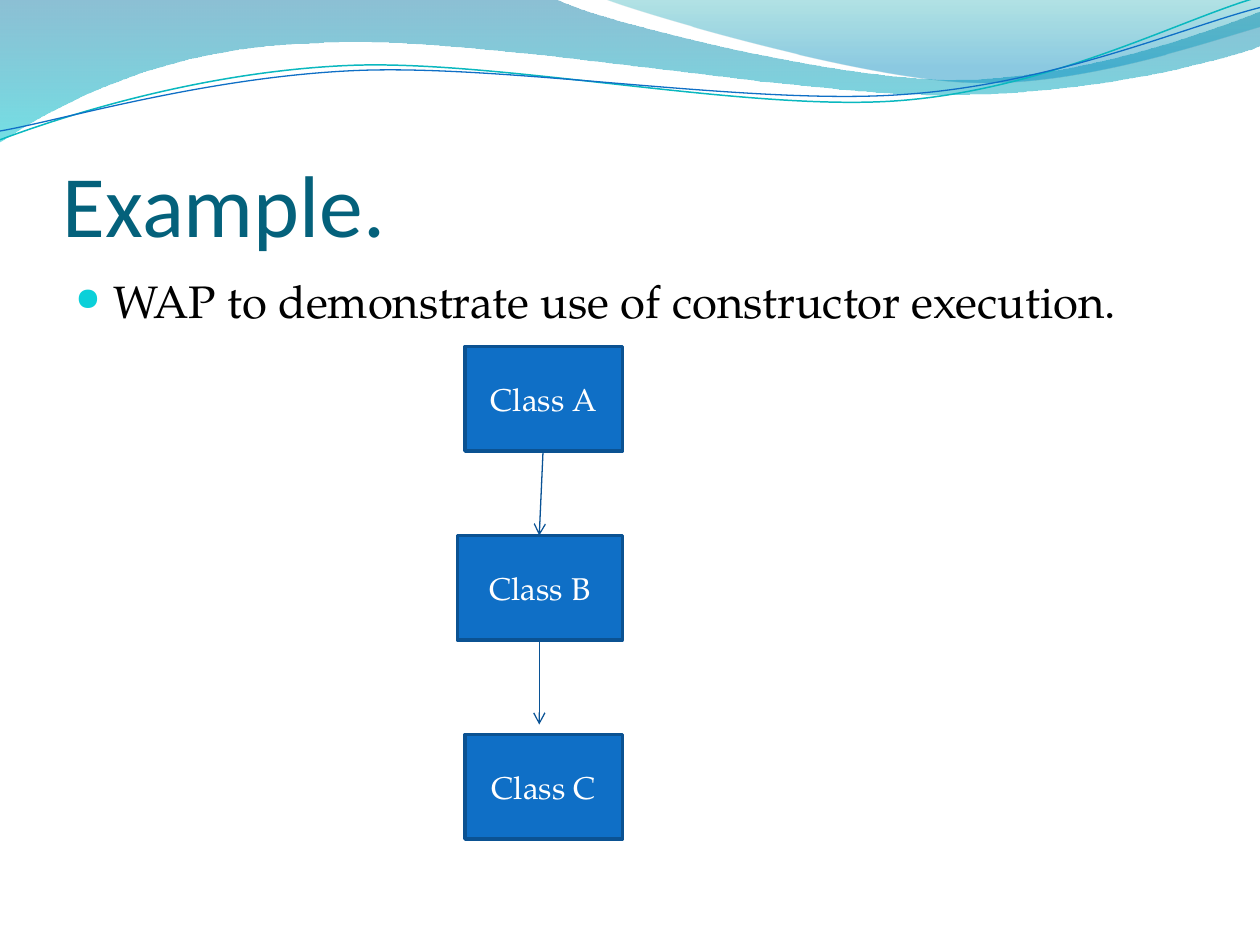
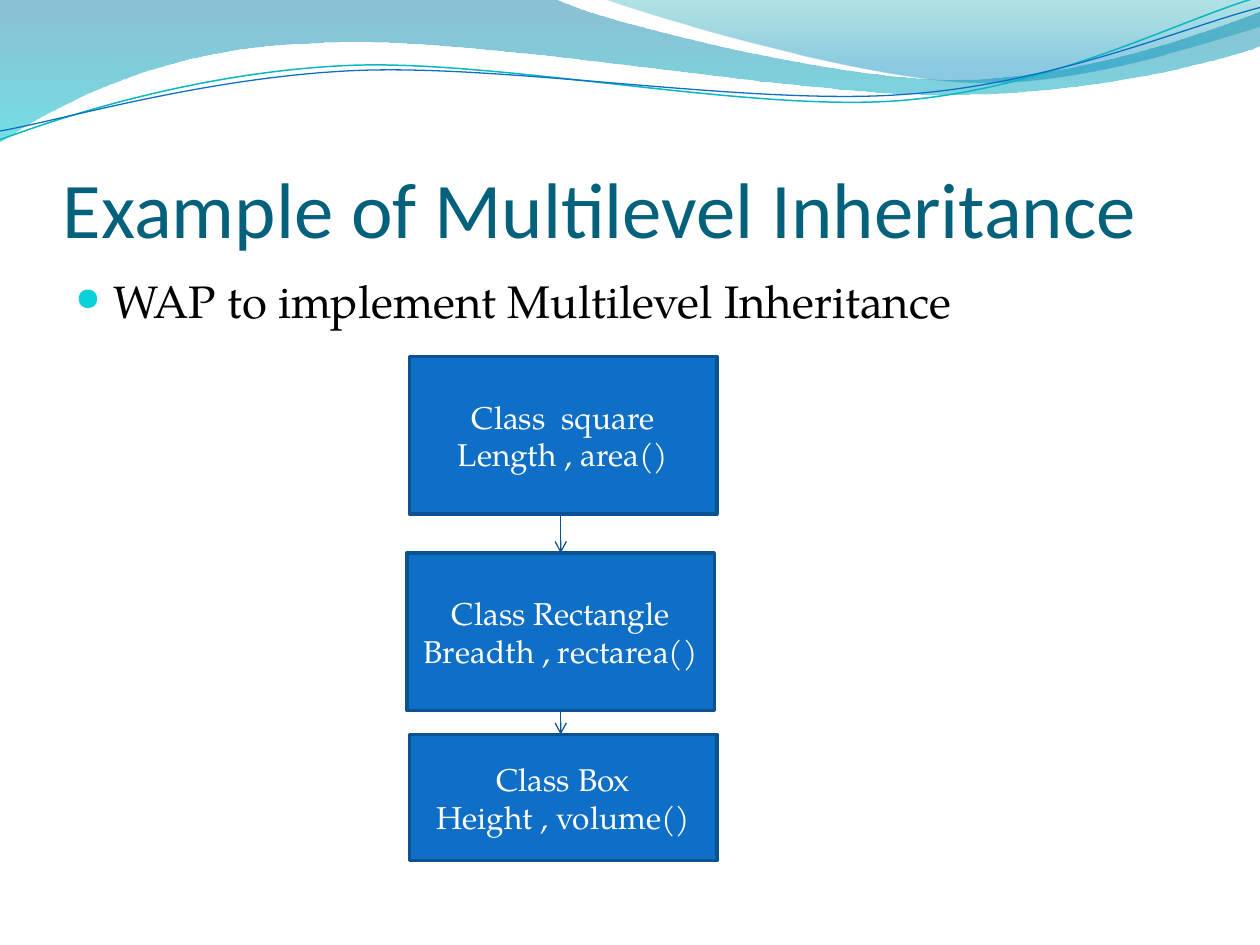
from lxml.etree import SubElement
from pptx import Presentation
from pptx.dml.color import RGBColor
from pptx.enum.shapes import MSO_CONNECTOR as CONN, MSO_SHAPE as SHAPE
from pptx.enum.text import MSO_ANCHOR as ANCHOR, PP_ALIGN as ALIGN
from pptx.oxml import parse_xml
from pptx.oxml.ns import nsdecls, qn
from pptx.util import Inches, Pt

# ---- Content: box = (left, top, width, height, lines); arrow = (x1, y1, x2, y2)
SLIDES = [
    dict(title="Example.", size=50,
         bullet="WAP to demonstrate use of constructor execution.",
         boxes=[(3.69, 2.75, 1.25, 0.83, ["Class A"]),
                (3.63, 4.25, 1.31, 0.83, ["Class B"]),
                (3.69, 5.83, 1.25, 0.83, ["Class C"])],
         arrows=[(4.31, 3.58, 4.28, 4.25), (4.28, 5.08, 4.28, 5.75)]),
    dict(title="Example of Multilevel Inheritance", size=45,
         bullet="WAP to implement Multilevel Inheritance",
         boxes=[(3.25, 2.83, 2.44, 1.25, ["Class  square", "Length , area()"]),
                (3.23, 4.39, 2.44, 1.25, ["Class Rectangle", "Breadth , rectarea()"]),
                (3.25, 5.83, 2.44, 1, ["Class Box", "Height , volume()"])],
         arrows=[(4.45, 4.08, 4.45, 4.39), (4.45, 5.64, 4.45, 5.83)]),
]

# ---- Shared style
HEAD, BODY = "Calibri", "TeX Gyre Pagella"
C = dict(title="04617B", text="000000", bullet="0BD0D9", box="0F6FC6",
         edge="0B5292", arrow="095295", label="FFFFFF",
         teal="0AB8BF", blue="0F6FC6")

# Header waves: start point, then 2 numbers for a line or 6 for a Bezier curve
BANDS = [
    ([(0, 0), (4.4, -0.01), (4.76, 0.17, 6.64, 0.63, 7.58, 0.63),
      (8.53, 0.63, 9.58, 0.26, 10, 0.09), (10.01, 0.36),
      (9.83, 0.44, 8.7, 0.76, 7.46, 0.75), (6.22, 0.75, 3.82, 0.28, 2.57, 0.34),
      (1.29, 0.36, 0.46, 0.83, -0.01, 1.13), (0, 0)],
     [(0, "0074A1", 45), (100, "00C6CF", 55)]),
    ([(4.79, -0.01), (5.09, 0.11, 6.82, 0.62, 7.69, 0.65),
      (8.56, 0.69, 9.61, 0.32, 10, 0.21), (10, 0), (4.79, -0.01)],
     [(0, "00A1A9", 30), (80, "008BBF", 45)]),
]
STRANDS = [
    ([(0, 1.11), (0.48, 0.93, 1.58, 0.57, 2.77, 0.52),
      (3.95, 0.47, 5.93, 0.89, 7.13, 0.8),
      (8.33, 0.71, 9.38, 0.15, 9.98, -0.02)], "teal", 0.85),
    ([(0, 1.04), (0.47, 0.96, 1.64, 0.61, 2.83, 0.56),
      (4.03, 0.51, 5.97, 0.84, 7.17, 0.75),
      (8.36, 0.67, 9.41, 0.21, 10, 0.06)], "blue", 0.75),
]


def rgb(name):
    return RGBColor.from_string(C[name])


def add_wave(slide, segments, close):
    """Draw the end points as a freeform, then bend its lines into curves."""
    ends = [(Inches(s[-2]), Inches(s[-1])) for s in segments]
    fb = slide.shapes.build_freeform(*ends[0])
    fb.add_line_segments(ends[1:], close=close)
    sp = fb.convert_to_shape()
    lines = list(sp._element.iter(qn("a:lnTo")))
    for line, seg in zip(lines, segments[1:]):
        if len(seg) == 6:
            line.tag = qn("a:cubicBezTo")
            for i in (0, 1):
                x, y = seg[2 * i:2 * i + 2]
                pt = parse_xml(f'<a:pt {nsdecls("a")} x="{Inches(x) - sp.left}" '
                               f'y="{Inches(y) - sp.top}"/>')
                line.insert(i, pt)
    sp.shadow.inherit = False
    sp.fill.background()
    return sp


def add_header(slide):
    for segments, stops in BANDS:
        sp = add_wave(slide, segments, True)
        sp.line.fill.background()
        gs = "".join(f'<a:gs pos="{pos * 1000}"><a:srgbClr val="{color}">'
                     f'<a:alpha val="{alpha * 1000}"/></a:srgbClr></a:gs>'
                     for pos, color, alpha in stops)
        pr = sp._element.spPr
        pr.replace(pr.find(qn("a:noFill")), parse_xml(
            f'<a:gradFill {nsdecls("a")}><a:gsLst>{gs}</a:gsLst>'
            '<a:lin ang="5400000" scaled="0"/></a:gradFill>'))
    for segments, color, width in STRANDS:
        sp = add_wave(slide, segments, False)
        sp.line.color.rgb = rgb(color)
        sp.line.width = Pt(width)


def style(p, size, font, color):
    p.font.size, p.font.name = Pt(size), font
    p.font.color.rgb = rgb(color)


def add_text(slide, place, text, size, font, color):
    tf = slide.shapes.add_textbox(*map(Inches, place)).text_frame
    tf.word_wrap = True
    tf.text = text
    style(tf.paragraphs[0], size, font, color)
    return tf


def add_bullet(p):
    pPr = p._p.get_or_add_pPr()
    pPr.set("marL", str(Inches(0.3)))
    pPr.set("indent", str(-Inches(0.3)))
    p.space_before = Pt(5.2)
    marks = [f'<a:buClr {nsdecls("a")}><a:srgbClr val="{C["bullet"]}"/></a:buClr>',
             f'<a:buSzPct {nsdecls("a")} val="70000"/>',
             f'<a:buChar {nsdecls("a")} char="●"/>']
    at = list(pPr).index(pPr.find(qn("a:spcBef"))) + 1
    for i, mark in enumerate(marks):
        pPr.insert(at + i, parse_xml(mark))


def add_box(slide, left, top, width, height, lines):
    sp = slide.shapes.add_shape(SHAPE.RECTANGLE,
                                *map(Inches, (left, top, width, height)))
    sp.shadow.inherit = False
    sp.fill.solid()
    sp.fill.fore_color.rgb = rgb("box")
    sp.line.color.rgb = rgb("edge")
    sp.line.width = Pt(2)
    tf = sp.text_frame
    tf.vertical_anchor = ANCHOR.MIDDLE
    tf.text = "\n".join(lines)
    for p in tf.paragraphs:
        p.alignment = ALIGN.CENTER
        style(p, 18, BODY, "label")


def add_arrow(slide, *ends):
    line = slide.shapes.add_connector(CONN.STRAIGHT, *map(Inches, ends))
    line.line.color.rgb = rgb("arrow")
    line.line.width = Pt(0.75)
    pr = line._element.spPr
    SubElement(pr.find(qn("a:ln")), qn("a:tailEnd"), type="arrow")
    SubElement(pr, qn("a:effectLst"))


def main():
    prs = Presentation()
    prs.slide_width, prs.slide_height = Inches(10), Inches(7.5)
    for data in SLIDES:
        slide = prs.slides.add_slide(prs.slide_layouts[6])
        add_header(slide)
        # Title and bullet
        tf = add_text(slide, (0.5, 0.77, 9, 1.25), data["title"],
                      data["size"], HEAD, "title")
        tf.vertical_anchor = ANCHOR.BOTTOM
        tf.margin_left = tf.margin_right = tf.margin_bottom = 0
        tf = add_text(slide, (0.5, 2.12, 9, 4.8), data["bullet"], 26, BODY, "text")
        add_bullet(tf.paragraphs[0])
        # Class diagram
        for box in data["boxes"]:
            add_box(slide, *box)
        for arrow in data["arrows"]:
            add_arrow(slide, *arrow)
    prs.save("out.pptx")


if __name__ == "__main__":
    main()
